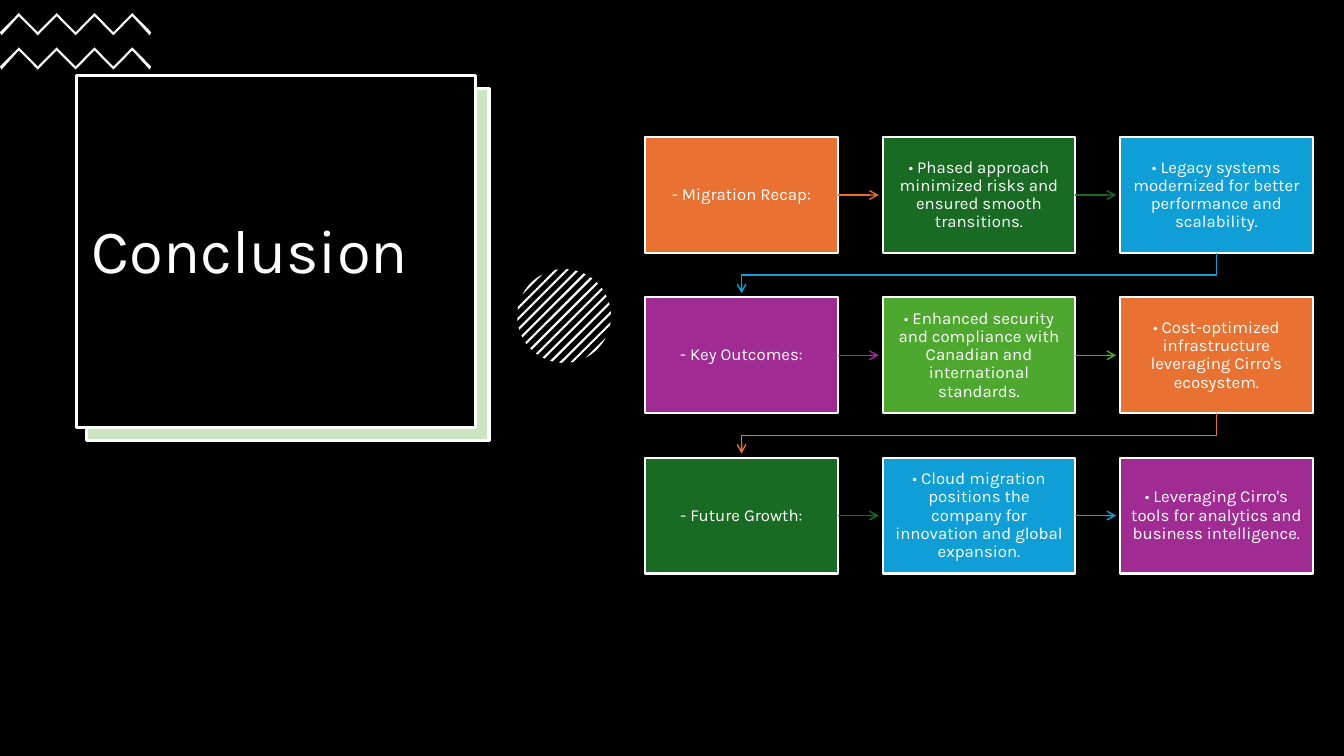
from dataclasses import dataclass
from math import acos, cos, pi, sin

from lxml.etree import SubElement
from pptx import Presentation
from pptx.dml.color import RGBColor
from pptx.enum.shapes import MSO_CONNECTOR, MSO_SHAPE
from pptx.enum.text import MSO_ANCHOR, MSO_AUTO_SIZE, PP_ALIGN
from pptx.oxml.ns import qn
from pptx.util import Inches, Pt


@dataclass(frozen=True)
class Theme:
    font: str = "Karla"
    black: str = "000000"
    white: str = "FFFFFF"
    pale_green: str = "CAE5C0"
    orange: str = "E97132"
    dark_green: str = "196B24"
    blue: str = "0F9ED5"
    purple: str = "A02B93"
    green: str = "4EA72E"
    title_size: float = 44
    step_size: float = 12
    panel_line: float = 2.25
    step_line: float = 1.5
    arrow_line: float = 1


@dataclass(frozen=True)
class Box:
    left: float
    top: float
    width: float
    height: float

    @property
    def inches(self):
        return [Inches(v) for v in (self.left, self.top, self.width, self.height)]


THEME = Theme()

STEPS = [
    [("- Migration Recap:", THEME.orange),
     ("• Phased approach minimized risks and ensured smooth transitions.", THEME.dark_green),
     ("• Legacy systems modernized for better performance and scalability.", THEME.blue)],
    [("- Key Outcomes:", THEME.purple),
     ("• Enhanced security and compliance with Canadian and international standards.", THEME.green),
     ("• Cost-optimized infrastructure leveraging Cirro's ecosystem.", THEME.orange)],
    [("- Future Growth:", THEME.dark_green),
     ("• Cloud migration positions the company for innovation and global expansion.", THEME.blue),
     ("• Leveraging Cirro's tools for analytics and business intelligence.", THEME.purple)],
]


def rgb(color):
    return RGBColor.from_string(color)


def add_rectangle(shapes, box, fill, line_width):
    rectangle = shapes.add_shape(MSO_SHAPE.RECTANGLE, *box.inches)
    rectangle.shadow.inherit = False
    rectangle.fill.solid()
    rectangle.fill.fore_color.rgb = rgb(fill)
    rectangle.line.color.rgb = rgb(THEME.white)
    rectangle.line.width = Pt(line_width)
    return rectangle


def add_outline(shapes, points, close=True):
    corners = [(Inches(x), Inches(y)) for x, y in points]
    builder = shapes.build_freeform(*corners[0])
    builder.add_line_segments(corners[1:], close=close)
    outline = builder.convert_to_shape()
    outline.shadow.inherit = False
    return outline


def add_white_outline(shapes, points):
    outline = add_outline(shapes, points)
    outline.fill.solid()
    outline.fill.fore_color.rgb = rgb(THEME.white)
    outline.line.fill.background()


def format_text(shape, size, alignment):
    frame = shape.text_frame
    frame.word_wrap = True
    frame.auto_size = MSO_AUTO_SIZE.NONE
    frame.vertical_anchor = MSO_ANCHOR.MIDDLE
    para = frame.paragraphs[0]
    para.alignment = alignment
    para.line_spacing = 0.9
    for span in para.runs:
        span.font.name = THEME.font
        span.font.size = Pt(size)
        span.font.color.rgb = rgb(THEME.white)


def style_arrow(arrow, color):
    arrow.line.color.rgb = rgb(color)
    arrow.line.width = Pt(THEME.arrow_line)
    SubElement(arrow.element.spPr.get_or_add_ln(), qn("a:tailEnd"), type="arrow")


def add_title_panel(slide, box):
    # Offset backing, then the black panel
    backing = Box(box.left + 0.1, box.top + 0.13, box.width + 0.03, box.height)
    add_rectangle(slide.shapes, backing, THEME.pale_green, THEME.panel_line)
    add_rectangle(slide.shapes, box, THEME.black, THEME.panel_line)

    # Title, brought in front of the panel
    title = slide.shapes.title
    title.left, title.top, title.width, title.height = Box(
        box.left + 0.05, box.top + 0.19, box.width - 0.09, box.height - 0.34).inches
    title.text_frame.text = "Conclusion"
    format_text(title, THEME.title_size, PP_ALIGN.LEFT)
    title.element.getparent().append(title.element)


def add_zigzags(slide, box):
    group = slide.shapes.add_group_shape()
    turns, thickness, inset, wave_height = 8, 0.03, 0.015, 0.22
    rise = wave_height - thickness
    for top in (box.top, box.top + box.height - wave_height):
        upper = [(box.left + box.width * i / turns, top + (0 if i % 2 else rise))
                 for i in range(turns + 1)]
        lower = [(x, y + thickness) for x, y in upper]
        lower[0] = (upper[0][0] + inset, top + wave_height)
        lower[-1] = (upper[-1][0] - inset, top + wave_height)
        add_white_outline(group.shapes, upper + lower[::-1])


def add_striped_circle(slide, box):
    group = slide.shapes.add_group_shape()
    radius = box.width / 2
    center_x, center_y = box.left + radius, box.top + radius
    pitch, half_stripe = 0.0757, 0.0106

    def rim_point(distance, side):
        angle = pi / 4 + side * acos(max(-1, min(1, distance / radius)))
        return center_x + radius * cos(angle), center_y + radius * sin(angle)

    for stripe in range(-6, 7):
        distances = [stripe * pitch + half_stripe * step / 2 for step in range(-2, 3)]
        add_white_outline(group.shapes, [rim_point(d, 1) for d in distances]
                          + [rim_point(d, -1) for d in reversed(distances)])


def add_step(slide, box, text, color):
    step = add_rectangle(slide.shapes, box, color, THEME.step_line)
    frame = step.text_frame
    frame.text = text
    frame.margin_left = frame.margin_right = Inches(0.09)
    frame.margin_top = frame.margin_bottom = Inches(0.1)
    format_text(step, THEME.step_size, PP_ALIGN.CENTER)
    return step


def add_process(slide, box):
    step_width, step_height, clearance = 1.91, 1.15, 0.04
    gap_x = (box.width - 3 * step_width) / 2
    gap_y = (box.height - 3 * step_height) / 2
    for row, steps in enumerate(STEPS):
        for column, (text, color) in enumerate(steps):
            cell = Box(box.left + column * (step_width + gap_x),
                       box.top + row * (step_height + gap_y), step_width, step_height)
            step = add_step(slide, cell, text, color)
            right, bottom = cell.left + step_width, cell.top + step_height
            if column < 2:
                # Arrow to the next step in the row
                middle = Inches(cell.top + step_height / 2)
                arrow = slide.shapes.add_connector(
                    MSO_CONNECTOR.STRAIGHT, Inches(right), middle,
                    Inches(right + gap_x - clearance), middle)
                arrow.begin_connect(step, 3)
                style_arrow(arrow, color)
                SubElement(arrow.element.spPr, qn("a:effectLst"))
            elif row < 2:
                # Bent arrow back to the start of the next row
                start_x, end_x = cell.left + step_width / 2, box.left + step_width / 2
                bend_y = bottom + gap_y / 2
                arrow = add_outline(slide.shapes, [
                    (start_x, bottom), (start_x, bend_y), (end_x, bend_y),
                    (end_x, bottom + gap_y - clearance)], close=False)
                arrow.fill.background()
                style_arrow(arrow, color)


def main():
    deck = Presentation()
    deck.slide_width, deck.slide_height = Inches(13.33), Inches(7.5)
    page = deck.slides.add_slide(deck.slide_layouts[5])
    page.background.fill.solid()
    page.background.fill.fore_color.rgb = rgb(THEME.black)
    add_title_panel(page, Box(0.76, 0.75, 3.96, 3.49))
    add_zigzags(page, Box(0, 0.13, 1.5, 0.56))
    add_striped_circle(page, Box(5.13, 2.67, 0.93, 0.93))
    add_process(page, Box(6.4, 1.36, 6.62, 4.33))
    deck.save("out.pptx")


if __name__ == "__main__":
    main()
